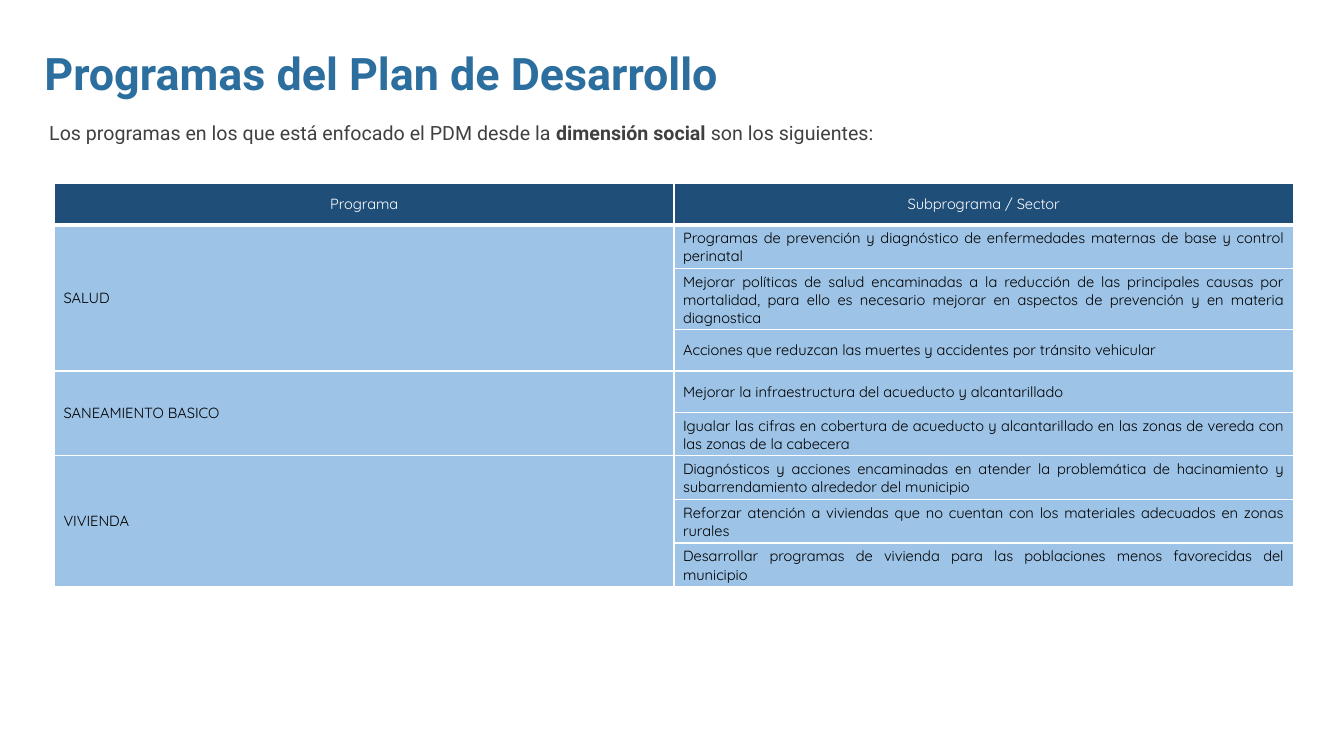
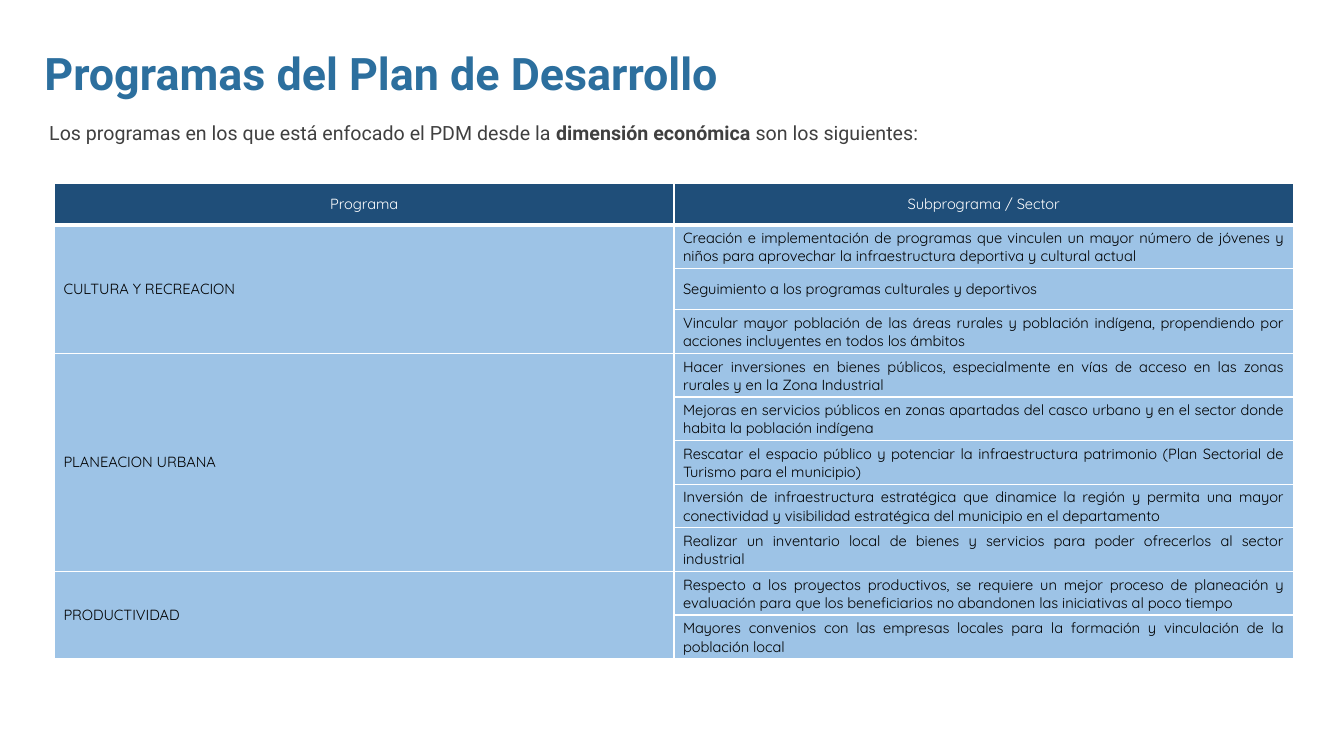
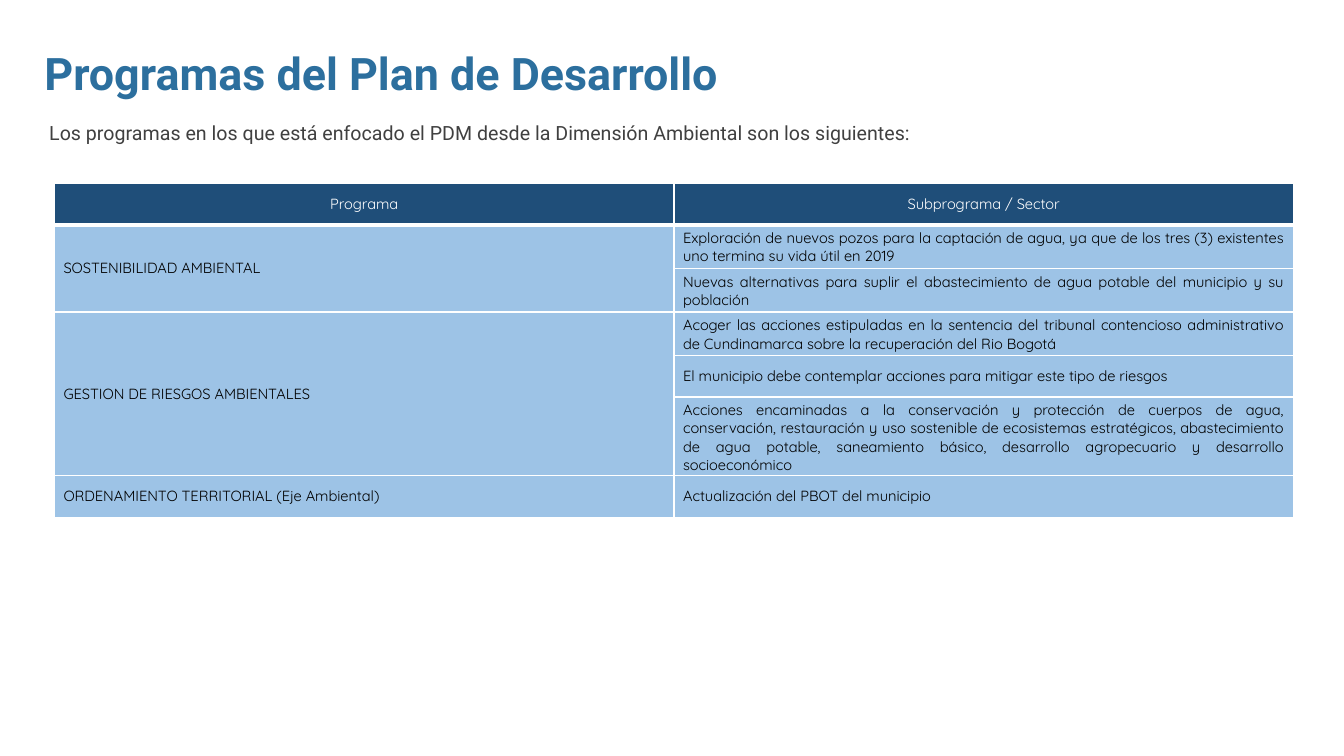
from lxml import etree
from pptx import Presentation
from pptx.dml.color import RGBColor
from pptx.enum.text import MSO_ANCHOR, MSO_AUTO_SIZE, PP_ALIGN
from pptx.oxml.ns import qn
from pptx.util import Inches, Pt

LEFT, CENTER, JUSTIFY = PP_ALIGN.LEFT, PP_ALIGN.CENTER, PP_ALIGN.JUSTIFY
TOP, MIDDLE = MSO_ANCHOR.TOP, MSO_ANCHOR.MIDDLE
GROW = MSO_AUTO_SIZE.SHAPE_TO_FIT_TEXT

# Content: introduction as (text, bold) runs, then programmes with their subprogrammes
TITLE = "Programas del Plan de Desarrollo"
HEADERS = ("Programa", "Subprograma / Sector")
INTRO = "Los programas en los que está enfocado el PDM desde la "
OUTRO = "son los siguientes:"
SLIDES = [
    ([(INTRO, False), ("dimensión social ", True), (OUTRO, False)], {
        "SALUD": [
            "Programas de prevención y diagnóstico de enfermedades maternas de base y control perinatal",
            "Mejorar políticas de salud encaminadas a la reducción de las principales causas por "
            "mortalidad, para ello es necesario mejorar en aspectos de prevención y en materia diagnostica",
            "Acciones que reduzcan las muertes y accidentes por tránsito vehicular",
        ],
        "SANEAMIENTO BASICO": [
            "Mejorar la infraestructura del acueducto y alcantarillado",
            "Igualar las cifras en cobertura de acueducto y alcantarillado en las zonas de vereda "
            "con las zonas de la cabecera",
        ],
        "VIVIENDA": [
            "Diagnósticos y acciones encaminadas en atender la problemática de hacinamiento y "
            "subarrendamiento alrededor del municipio",
            "Reforzar atención a viviendas que no cuentan con los materiales adecuados en zonas rurales",
            "Desarrollar programas de vivienda para las poblaciones menos favorecidas del municipio",
        ],
    }),
    ([(INTRO, False), ("dimensión económica ", True), (OUTRO, False)], {
        "CULTURA Y RECREACION": [
            "Creación e implementación de programas que vinculen un mayor número de jóvenes y niños "
            "para aprovechar la infraestructura deportiva y cultural actual",
            "Seguimiento a los programas culturales y deportivos",
            "Vincular mayor población de las áreas rurales y población indígena, propendiendo por "
            "acciones incluyentes en todos los ámbitos",
        ],
        "PLANEACION URBANA": [
            "Hacer inversiones en bienes públicos, especialmente en vías de acceso en las zonas "
            "rurales y en la Zona Industrial",
            "Mejoras en servicios públicos en zonas apartadas del casco urbano y en el sector donde "
            "habita la población indígena",
            "Rescatar el espacio público y potenciar la infraestructura patrimonio (Plan Sectorial "
            "de Turismo para el municipio)",
            "Inversión de infraestructura estratégica que dinamice la región y permita una mayor "
            "conectividad y visibilidad estratégica del municipio en el departamento",
            "Realizar un inventario local de bienes y servicios para poder ofrecerlos al sector industrial",
        ],
        "PRODUCTIVIDAD": [
            "Respecto a los proyectos productivos, se requiere un mejor proceso de planeación y "
            "evaluación para que los beneficiarios no abandonen las iniciativas al poco tiempo",
            "Mayores convenios con las empresas locales para la formación y vinculación de la "
            "población local",
        ],
    }),
    ([(INTRO + "Dimensión Ambiental " + OUTRO, False)], {
        "SOSTENIBILIDAD AMBIENTAL": [
            "Exploración de nuevos pozos para la captación de agua, ya que de los tres (3) "
            "existentes uno termina su vida útil en 2019",
            "Nuevas alternativas para suplir el abastecimiento de agua potable del municipio y su población",
        ],
        "GESTION DE RIESGOS AMBIENTALES": [
            "Acoger las acciones estipuladas en la sentencia del tribunal contencioso administrativo "
            "de Cundinamarca sobre la recuperación del Rio Bogotá",
            "El municipio debe contemplar acciones para mitigar este tipo de riesgos",
            "Acciones encaminadas a la conservación y protección de cuerpos de agua, conservación, "
            "restauración y uso sostenible de ecosistemas estratégicos, abastecimiento de agua "
            "potable, saneamiento básico, desarrollo agropecuario y desarrollo socioeconómico",
        ],
        "ORDENAMIENTO TERRITORIAL (Eje Ambiental)": ["Actualización del PBOT del municipio"],
    }),
]

# Shared style
BLUE, NAVY, SKY, GRAY, WHITE, BLACK = "2C6F9E", "1F4E79", "9DC3E6", "404040", "FFFFFF", "000000"
HEAD_FONT, TABLE_FONT = "Roboto", "Quicksand"
TITLE_BOX = (0.34, 0.4, 8.96, 0.64)
INTRO_BOX = (0.39, 1.15, 12.43, 0.34)
TABLE_LEFT, TABLE_TOP, TABLE_WIDTH, ROW_HEIGHT = 0.54, 1.82, 12.29, 0.41


def rgb(color):
    return RGBColor.from_string(color)


def write(tf, runs, size, font, color, align=LEFT, bold=False):
    """Fill the first paragraph with a string or with (text, bold) runs."""
    p = tf.paragraphs[0]
    p.alignment = align
    for text, strong in [(runs, bold)] if isinstance(runs, str) else runs:
        r = p.add_run()
        r.text = text
        r.font.size, r.font.name, r.font.bold = Pt(size), font, strong
        r.font.color.rgb = rgb(color)


def set_up_frame(tf):
    tf.word_wrap, tf.auto_size, tf.vertical_anchor = True, GROW, TOP


def style_cell(cell, fill, bottom=1):
    cell.vertical_anchor = MIDDLE
    cell.margin_left = cell.margin_right = Inches(0.09)
    cell.margin_top = cell.margin_bottom = Pt(3)
    tc_pr = cell._tc.get_or_add_tcPr()
    for side, width in (("L", 1), ("R", 1), ("T", 1), ("B", bottom)):
        ln = etree.SubElement(tc_pr, qn("a:ln" + side), w=str(Pt(width)))
        solid = etree.SubElement(ln, qn("a:solidFill"))
        etree.SubElement(solid, qn("a:srgbClr"), val=WHITE)
    cell.fill.solid()
    cell.fill.fore_color.rgb = rgb(fill)


def add_programs(s, programs):
    rows = 1 + sum(len(subs) for subs in programs.values())
    table = s.shapes.add_table(rows, 2, Inches(TABLE_LEFT), Inches(TABLE_TOP),
                               Inches(TABLE_WIDTH), Inches(ROW_HEIGHT * rows)).table
    table.first_row = table.horz_banding = False
    for row in range(rows):
        for col in range(2):
            style_cell(table.cell(row, col), SKY if row else NAVY, 1 if row else 3)

    def put(row, col, text, color=BLACK, align=LEFT):
        write(table.cell(row, col).text_frame, text, 10.5, TABLE_FONT, color, align)

    for col, header in enumerate(HEADERS):
        put(0, col, header, WHITE, CENTER)
    row = 1
    for program, subs in programs.items():
        if len(subs) > 1:
            table.cell(row, 0).merge(table.cell(row + len(subs) - 1, 0))
        put(row, 0, program)
        for sub in subs:
            put(row, 1, sub, align=JUSTIFY)
            row += 1


prs = Presentation()
prs.slide_width, prs.slide_height = Inches(13.33), Inches(7.5)

# The title's place is set once, on the layout
layout = prs.slide_layouts[5]
title = layout.placeholders[0]
title.left, title.top, title.width, title.height = map(Inches, TITLE_BOX)

for intro, programs in SLIDES:
    s = prs.slides.add_slide(layout)
    tf = s.shapes.title.text_frame
    set_up_frame(tf)
    write(tf, TITLE, 32, HEAD_FONT, BLUE, bold=True)
    tf = s.shapes.add_textbox(*map(Inches, INTRO_BOX)).text_frame
    set_up_frame(tf)
    write(tf, intro, 14, HEAD_FONT, GRAY, JUSTIFY)
    add_programs(s, programs)

prs.save("out.pptx")
